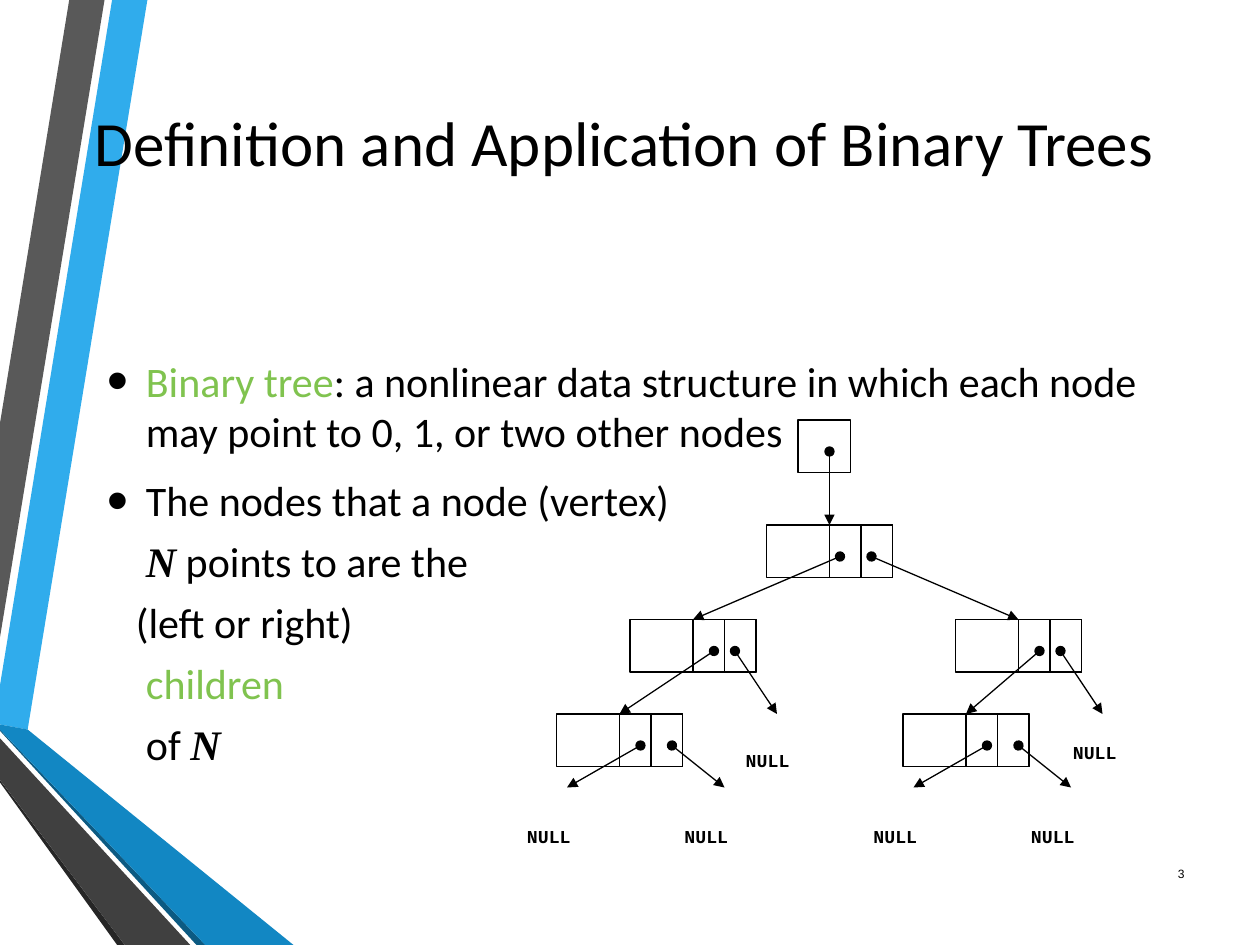
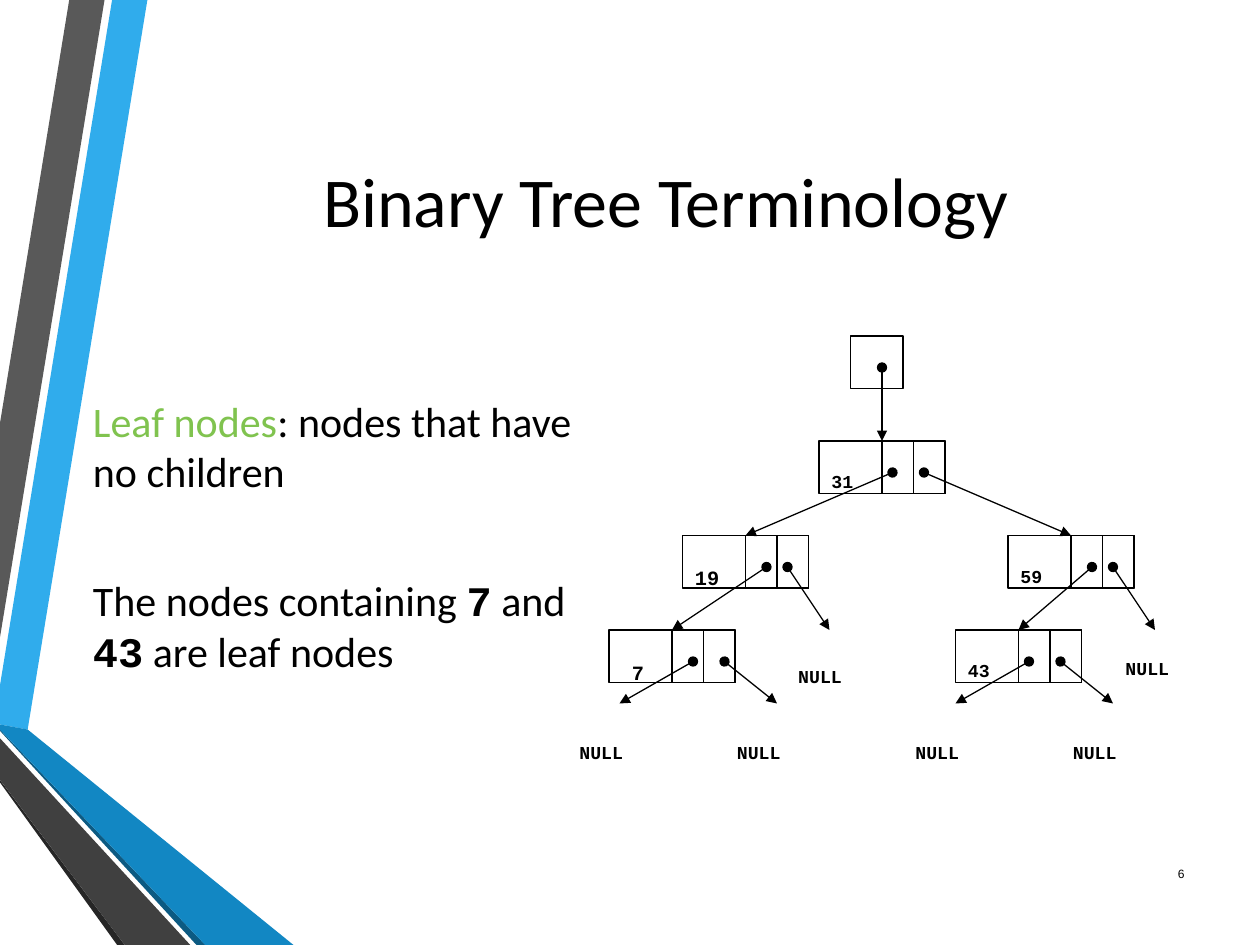
from lxml import etree
from pptx import Presentation
from pptx.dml.color import RGBColor
from pptx.enum.shapes import MSO_CONNECTOR, MSO_SHAPE
from pptx.enum.text import MSO_ANCHOR, MSO_AUTO_SIZE, PP_ALIGN
from pptx.oxml.ns import qn
from pptx.util import Inches, Pt

RECT, LINE = MSO_SHAPE.RECTANGLE, MSO_CONNECTOR.STRAIGHT
MIDDLE, TOP = MSO_ANCHOR.MIDDLE, MSO_ANCHOR.TOP
LEFT, CENTER, RIGHT = PP_ALIGN.LEFT, PP_ALIGN.CENTER, PP_ALIGN.RIGHT
FIT = MSO_AUTO_SIZE.SHAPE_TO_FIT_TEXT

BLACK = RGBColor(0x00, 0x00, 0x00)
GREEN = RGBColor(0x80, 0xC3, 0x4F)
SKY = RGBColor(0x30, 0xAC, 0xEC)
BLUE = RGBColor(0x12, 0x87, 0xC3)
NAVY = RGBColor(0x0C, 0x5A, 0x82)
GREY = RGBColor(0x59, 0x59, 0x59)
DARK = RGBColor(0x40, 0x40, 0x40)
COAL = RGBColor(0x26, 0x26, 0x26)
SANS, MONO, SERIF, LABEL = "Calibri", "Courier New", "Times New Roman", "Arial"

BANDS = [
    (SKY, [(0, 5.44), (0, 5.75), (0.22, 5.79), (1.17, 0), (0.89, 0)]),
    (GREY, [(0.83, 0), (0.55, 0), (0, 3.36), (0, 5.06)]),
    (COAL, [(0, 6.19), (0, 6.21), (0.93, 7.5), (0.99, 7.5)]),
    (NAVY, [(0, 5.79), (0, 5.8), (1.56, 7.5), (1.63, 7.5)]),
    (BLUE, [(0, 5.79), (1.63, 7.5), (2.33, 7.5), (0.22, 5.79), (0, 5.75)]),
    (DARK, [(0, 6.19), (0.99, 7.5), (1.51, 7.5), (0, 5.86)]),
]

# Run styles
PLAIN, TERM, VERTEX, CODE = "plain", "term", "vertex", "code"

# Body paragraphs: bullet, indent, space before, runs
SLIDES = [
    {
        "title": ("Definition and Application of Binary Trees", 36, (0.33, 0.5, 9.25, 1.25)),
        "place": (0.75, 2.17, 8.5, 4.58),
        "body": [
            (True, 0.31, 0, [("Binary tree", TERM),
                             (": a nonlinear data structure in which each node "
                              "may point to 0, 1, or two other nodes", PLAIN)]),
            (True, 0.31, 4.8, [("The nodes that a node (vertex)", PLAIN)]),
            (False, 0.31, 0, [("N", VERTEX), (" points to are the", PLAIN)]),
            (False, 0.23, 0, [("(left or right)", PLAIN)]),
            (False, 0.31, 0, [("children", TERM)]),
            (False, 0.31, 0, [("of ", PLAIN), ("N", VERTEX)]),
        ],
        "number": "3",
        "origin": (76, 40),
        "nudge": 0,
        "values": {},
    },
    {
        "title": ("Binary Tree Terminology", 40, (1.07, 0.5, 8.43, 2.17)),
        "place": (0.33, 1.75, 4.54, 5),
        "body": [
            (False, 0.31, 0, [("Leaf nodes", TERM),
                              (": nodes that have no children", PLAIN)]),
            (False, 0.31, 39, [("The nodes containing ", PLAIN), ("7", CODE),
                               (" and ", PLAIN), ("43", CODE),
                               (" are leaf nodes", PLAIN)]),
        ],
        "number": "6",
        "origin": (81, 32),
        "nudge": -1,
        # Node: value, size, offset right and down
        "values": {"root": ("31", 18, 0, 0.2), "left": ("19", 20, 0, 0),
                   "right": ("59", 18, 0, 0.2), "low": ("7", 20, 1, 0),
                   "high": ("43", 18, 0, 0.2)},
    },
]

# Tree in twelfths of an inch, measured from the head pointer's box
NODES = {"root": (-3, 10), "right": (15, 19), "left": (-16, 19),
         "low": (-23, 28), "high": (10, 28)}
WIDE, TALL, CELL = 12, 5, 3
# Node, start offset, child
LINKS = [("root", 7, "left"), ("root", 10, "right"),
         ("left", 8, "low"), ("right", 8, "high")]
# Node, start offset, end offset, label offset
NULLS = [("left", 10, (14, 9), (9.84, 9.76)), ("right", 10, (14, 9), (10, 9)),
         ("low", 8, (1, 7), (-4, 8)), ("low", 11, (16, 7), (11, 8)),
         ("high", 8, (1, 7), (-4, 8)), ("high", 11, (16, 7), (11, 8))]


def grid(*nums):
    return [Inches(n / 12) for n in nums]


def set_font(font, name, size, color=BLACK, bold=False):
    font.name, font.size, font.bold = name, Pt(size), bold
    font.color.rgb = color


def add_box(slide, place, anchor=MIDDLE):
    frame = slide.shapes.add_textbox(*place).text_frame
    frame.word_wrap = True
    frame.vertical_anchor = anchor
    return frame


def add_text(frame, text, name, size, align=LEFT, bold=False, sub=False):
    para = frame.paragraphs[0]
    para.alignment = align
    run = para.add_run()
    run.text = text
    if sub:
        run._r.get_or_add_rPr().set("baseline", "-25000")
    set_font(para.font, name, size, bold=bold)


def add_bands(slide):
    for color, dots in BANDS:
        first, *rest = [(Inches(x), Inches(y)) for x, y in dots]
        form = slide.shapes.build_freeform(*first)
        form.add_line_segments(rest, close=True)
        band = form.convert_to_shape()
        band.shadow.inherit = False
        band.fill.solid()
        band.fill.fore_color.rgb = color
        band.line.fill.background()


def add_body(slide, place, paras):
    frame = add_box(slide, [Inches(n) for n in place])
    for i, (dot, indent, before, runs) in enumerate(paras):
        para = frame.add_paragraph() if i else frame.paragraphs[0]
        props = para._p.get_or_add_pPr()
        props.set("marL", str(Inches(indent)))
        props.set("indent", str(-Inches(indent) if dot else 0))
        if dot:
            tint = etree.SubElement(props, qn("a:buClr"))
            etree.SubElement(tint, qn("a:srgbClr"), val=str(BLACK))
            etree.SubElement(props, qn("a:buSzPct"), val="145000")
            etree.SubElement(props, qn("a:buFont"), typeface=LABEL)
            etree.SubElement(props, qn("a:buChar"), char="•")
        else:
            etree.SubElement(props, qn("a:buNone"))
        para.space_before, para.space_after = Pt(before), Pt(6)
        set_font(para.font, SANS, 24)
        for text, style in runs:
            run = para.add_run()
            run.text = text
            if style == TERM:
                run.font.color.rgb = GREEN
            elif style != PLAIN:
                run.font.name = SERIF if style == VERTEX else MONO
                run.font.bold = True
                run.font.italic = style == VERTEX


def add_rect(slide, x, y, wide):
    rect = slide.shapes.add_shape(RECT, *grid(x, y, wide, TALL))
    rect.shadow.inherit = False
    rect.fill.background()
    rect.line.color.rgb, rect.line.width = BLACK, Pt(0.75)
    return rect


def add_arrow(slide, x, y, tip_x, tip_y, node=None):
    arrow = slide.shapes.add_connector(LINE, *grid(x, y, tip_x, tip_y))
    if node is not None:
        arrow.end_connect(node, 0)
    arrow.line.color.rgb, arrow.line.width = BLACK, Pt(0.75)
    line = arrow.line._get_or_add_ln()
    etree.SubElement(line, qn("a:headEnd"), type="oval")
    etree.SubElement(line, qn("a:tailEnd"), type="triangle")
    etree.SubElement(arrow._element.spPr, qn("a:effectLst"))


def add_label(slide, text, size, x, y):
    wide, tall = 0.2 + len(text) * size / 120, 0.1 + size / 60
    frame = add_box(slide, [*grid(x, y), Inches(wide), Inches(tall)], TOP)
    frame.word_wrap = False
    frame.auto_size = FIT
    add_text(frame, text, MONO, size, bold=True, sub=True)


def add_tree(slide, origin, nudge, values):
    left, top = origin
    spots = {key: (left + x, top + y) for key, (x, y) in NODES.items()}

    # Head pointer and nodes with two pointer cells
    add_rect(slide, left, top, TALL)
    rects = {}
    for key, (x, y) in spots.items():
        rects[key] = add_rect(slide, x, y, WIDE)
        for cell in (3, 2):
            add_rect(slide, x + cell * CELL, y, CELL)

    # Arrows between nodes
    add_arrow(slide, left + 3, top + 3, left + 3, top + 10, rects["root"])
    for key, start, child in LINKS:
        x, y = spots[key]
        tip_x, tip_y = spots[child]
        add_arrow(slide, x + start, y + 3, tip_x + WIDE / 2, tip_y, rects[child])

    # Null pointers
    for key, start, (dx, dy), (tx, ty) in NULLS:
        x, y = spots[key]
        x += nudge if key == "high" else 0
        add_arrow(slide, x + start, y + 3, x + dx, y + dy)
        add_label(slide, "NULL", 18, x + tx, y + ty)

    # Node values
    for key, (text, size, dx, dy) in values.items():
        x, y = spots[key]
        add_label(slide, text, size, x + dx, y + dy)


def main():
    deck = Presentation()
    deck.slide_width, deck.slide_height = Inches(10), Inches(7.5)
    for page in SLIDES:
        slide = deck.slides.add_slide(deck.slide_layouts[6])
        add_bands(slide)
        title, size, place = page["title"]
        frame = add_box(slide, [Inches(n) for n in place])
        add_text(frame, title, SANS, size, CENTER)
        add_body(slide, page["place"], page["body"])
        frame = add_box(slide, [Inches(n) for n in (9.03, 6.68, 0.47, 0.4)])
        add_text(frame, page["number"], LABEL, 12, RIGHT, sub=True)
        add_tree(slide, page["origin"], page["nudge"], page["values"])
    deck.save("out.pptx")


if __name__ == "__main__":
    main()
